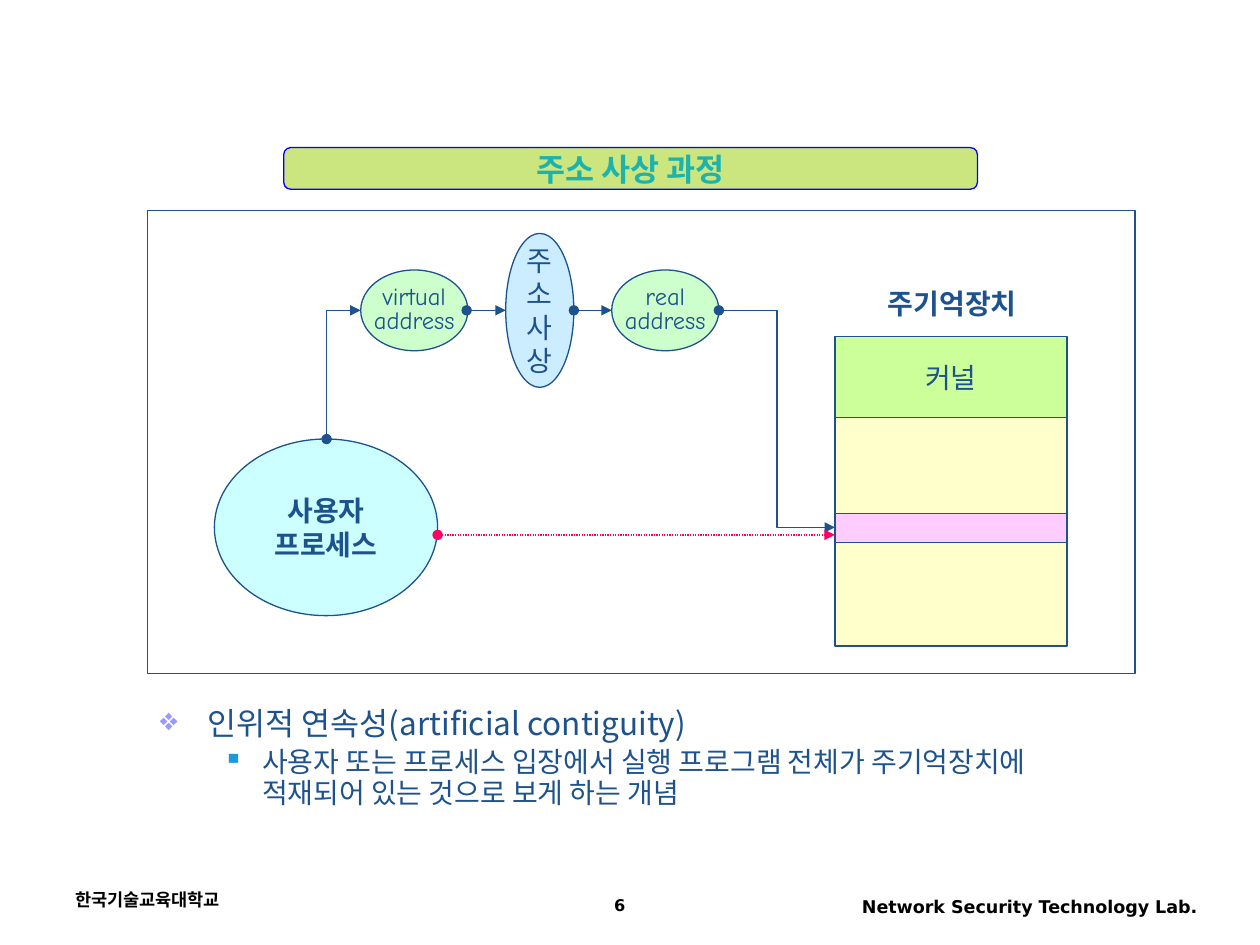
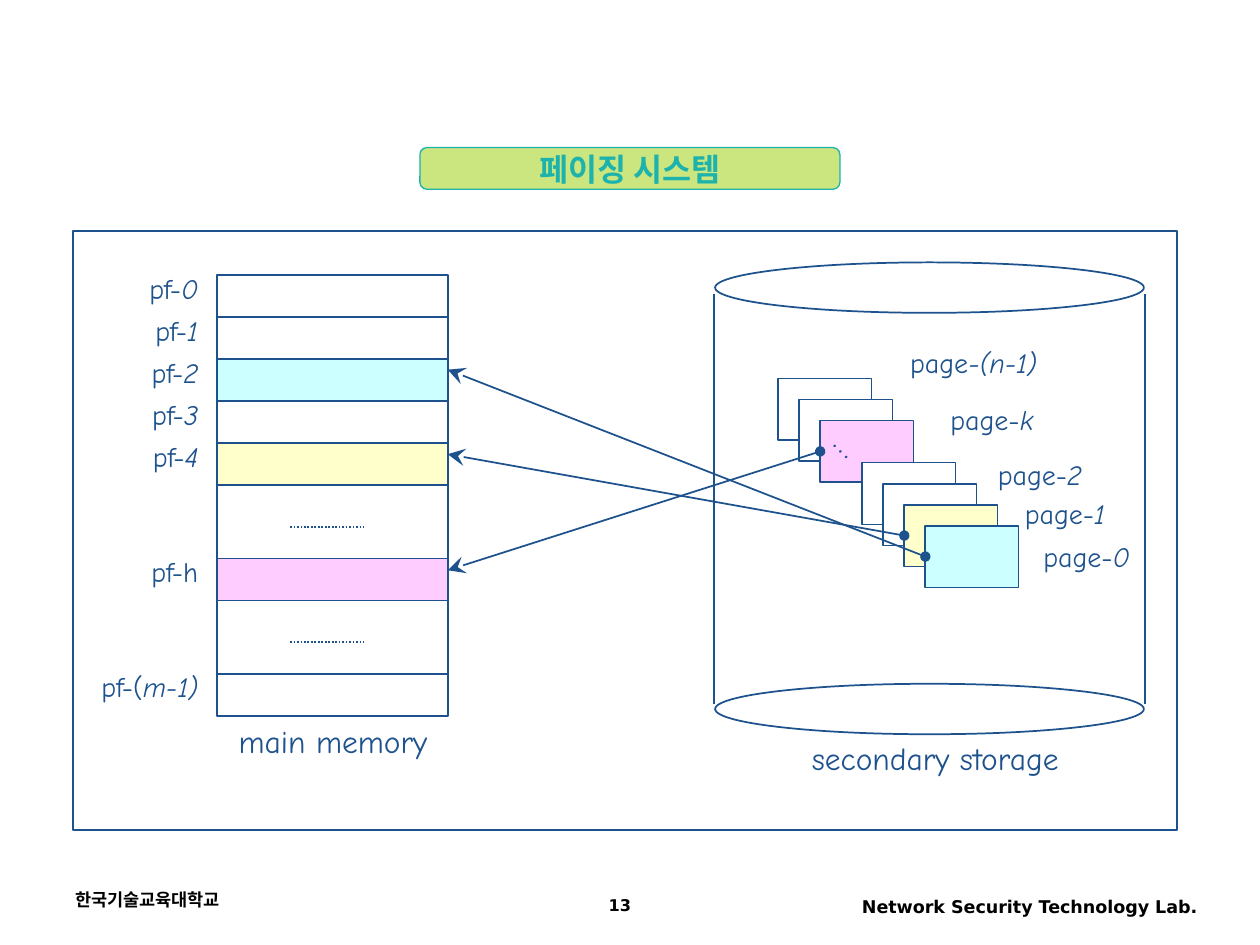
"""Build two slides on address mapping and on the paging system."""
from lxml import etree
from pptx import Presentation
from pptx.dml.color import RGBColor
from pptx.enum.dml import MSO_LINE
from pptx.enum.shapes import MSO_CONNECTOR, MSO_SHAPE
from pptx.enum.text import MSO_ANCHOR, PP_ALIGN
from pptx.oxml.ns import qn
from pptx.util import Inches, Pt

RECT, OVAL, BAND = MSO_SHAPE.RECTANGLE, MSO_SHAPE.OVAL, MSO_SHAPE.FLOWCHART_ALTERNATE_PROCESS
LINE, BENT = MSO_CONNECTOR.STRAIGHT, MSO_CONNECTOR.ELBOW
LEFT, MID, RIGHT = PP_ALIGN.LEFT, PP_ALIGN.CENTER, PP_ALIGN.RIGHT
TOP, CORE = MSO_ANCHOR.TOP, MSO_ANCHOR.MIDDLE
DOTS = MSO_LINE.ROUND_DOT
HANGUL = "Noto Sans CJK KR"
NAVY, TEAL, BLUE, RED, LIME = "1D528D", "1DB3AC", "0000FF", "FF0066", "99CC00"
WHITE, BLACK = "FFFFFF", "000000"
AQUA, CREAM, PINK, MINT, LEAF, SKY = "CCFFFF", "FFFFCC", "FFCCFF", "CCFFCC", "CCFF99", "CCECFF"
hue = RGBColor.from_string


def put(page, kind, box, text="", fill=WHITE, edge=NAVY, width=0.75, tint=NAVY,
        align=MID, wrap=False, gap=None, **look):
    """Add a shape, or a text box if kind is None; a bar in a line starts italics."""
    place = [Inches(n) for n in box]
    if kind is None:
        shape = page.shapes.add_textbox(*place)
    else:
        shape = page.shapes.add_shape(kind, *place)
        shape.shadow.inherit = False
        shape.fill.solid()
        shape.fill.fore_color.rgb = hue(fill)
        shape.line.color.rgb = hue(edge)
        shape.line.width = Pt(width)
    if not text:
        return shape
    frame = shape.text_frame
    frame.word_wrap = wrap
    frame.vertical_anchor = TOP if kind is None else CORE
    style = {"size": Pt(16), "name": "Comic Neue"} | look
    for i, row in enumerate(text.split("\n")):
        para = frame.add_paragraph() if i else frame.paragraphs[0]
        para.alignment, para.line_spacing = align, gap
        for j, part in enumerate(row.split("|")):
            run = para.add_run()
            run.text = part
            for key, val in style.items():
                setattr(run.font, key, val)
            if j:
                run.font.italic = True
            run.font.color.rgb = hue(tint)
            etree.SubElement(run.font._element, qn("a:ea"), typeface=HANGUL)
    return shape


def wire(page, ends, head=None, tail=None, tint=NAVY, width=0.75, dash=None, kind=LINE):
    """Add a connector with optional line ends."""
    link = page.shapes.add_connector(kind, *[Inches(n) for n in ends])
    link.line.color.rgb = hue(tint)
    link.line.width = Pt(width)
    if dash:
        link.line.dash_style = dash
    rim = link.line._get_or_add_ln()
    for tag, tip in (("a:headEnd", head), ("a:tailEnd", tail)):
        if tip:
            size = "lg" if tip == "stealth" else "med"
            etree.SubElement(rim, qn(tag), type=tip, w=size, len=size)
    etree.SubElement(link._element.spPr, qn("a:effectLst"))
    return link


deck = Presentation()
deck.slide_width, deck.slide_height = Inches(9.99), Inches(7.49)
pages = []
for title, num, left, span, edge in (
    ("주소 사상 과정", "6", 2.25, 5.5, BLUE),
    ("페이징 시스템", "13", 3.33, 3.33, TEAL),
):
    page = deck.slides.add_slide(deck.slide_layouts[6])
    pages.append(page)
    for text, box, align, size in (
        ("한국기술교육대학교", (0.5, 7, 2.33, 0.33), LEFT, 10),
        ("Network Security Technology Lab.", (6.42, 7.05, 3.17, 0.32), RIGHT, 10),
        (num, (3.75, 7.05, 2.33, 0.28), MID, 9.2),
    ):
        put(page, None, box, text, tint=BLACK, align=align, wrap=True,
            size=Pt(size), name="DejaVu Sans", bold=True)
    band = put(page, BAND, (left, 1.17, span, 0.33), title, LIME, edge, tint=TEAL,
               size=Pt(18), name="Arial Narrow", bold=True)
    shade = band._element.spPr.find(qn("a:solidFill"))[0]
    etree.SubElement(shade, qn("a:alpha"), val="50000")

flow, paging = pages

put(flow, RECT, (1.17, 1.67, 7.83, 3.67))
put(flow, OVAL, (1.7, 3.48, 1.77, 1.4), "사용자\n프로세스", AQUA, bold=True)
put(flow, None, (6.94, 2.22, 1.22, 0.37), "주기억장치", bold=True)
top = 2.67
for high, fill, text in ((0.64, LEAF, "커널"), (0.76, CREAM, ""), (0.23, PINK, ""), (0.82, CREAM, "")):
    put(flow, RECT, (6.62, top, 1.84, high), text, fill)
    top += high
for left, word in ((2.86, "virtual"), (4.85, "real")):
    put(flow, OVAL, (left, 2.14, 0.85, 0.64), word + "\naddress", MINT, gap=0.8, size=Pt(14))
put(flow, OVAL, (4.01, 1.85, 0.54, 1.22), "주\n소\n사\n상", SKY)

turn = wire(flow, (2.86, 2.46, 2.59, 3.48), "triangle", "oval", kind=BENT)
turn._element.spPr.find(qn("a:prstGeom")).set("prst", "bentConnector2")
for start, end in ((3.7, 4.01), (4.55, 4.85)):
    wire(flow, (start, 2.46, end, 2.46), "oval", "triangle")
wire(flow, (5.7, 2.46, 6.62, 4.18), "oval", "triangle", kind=BENT)
wire(flow, (3.47, 4.24, 6.62, 4.24), "oval", "triangle", RED, dash=DOTS)

note = put(flow, None, (1.17, 5.5, 7.83, 1.08),
           "인위적 연속성(artificial contiguity)\n"
           "사용자 또는 프로세스 입장에서 실행 프로그램 전체가 주기억장치에 적재되어 있는 것으로 보게 하는 개념",
           align=LEFT, wrap=True, name=HANGUL)
for para, level, size, gap, lead, hang, mark, tint in zip(
    note.text_frame.paragraphs, (0, 1), (18, 16), (1.1, 0.9), (0.38, 0.81), (0.38, 0.31),
    "❖▪", ("9999FF", "1B9AD9"),
):
    props = para._p.get_or_add_pPr()
    props.set("marL", str(Inches(lead)))
    props.set("indent", str(-Inches(hang)))
    etree.SubElement(etree.SubElement(props, qn("a:buClr")), qn("a:srgbClr"), val=tint)
    etree.SubElement(props, qn("a:buChar"), char=mark)
    para.level, para.line_spacing = level, gap
    para.runs[0].font.size = Pt(size)
    if level:
        para.space_before = Pt(4)

put(paging, RECT, (0.58, 1.83, 8.75, 4.75), width=1)
for top in (2.08, 5.42):
    put(paging, OVAL, (5.67, top, 3.4, 0.4), width=1)
for left in (5.66, 9.08):
    wire(paging, (left, 2.33, left, 5.58), width=1)

top = 2.18
for text, high, fill in (
    ("pf-|0", 1 / 3, WHITE), ("pf-|1", 1 / 3, WHITE), ("pf-|2", 1 / 3, AQUA),
    ("pf-|3", 1 / 3, WHITE), ("pf-|4", 1 / 3, CREAM), ("", 0.58, WHITE),
    ("pf-h", 1 / 3, PINK), ("", 0.58, WHITE), ("pf-(|m-1)", 1 / 3, WHITE),
):
    put(paging, RECT, (1.72, top, 1.83, high), fill=fill, width=1)
    if text:
        put(paging, None, (0.47, top - 0.08, 1.2, 0.37), text, align=RIGHT, wrap=True)
    else:
        wire(paging, (2.3, top + 0.33, 2.88, top + 0.33), width=1, dash=DOTS)
    top += high

cards = {}
for step, fill in ((0, WHITE), (1, WHITE), (2, PINK), (4, WHITE), (5, WHITE), (6, CREAM), (7, AQUA)):
    cards[fill] = put(paging, RECT, (6.17 + step / 6, 3 + step / 6, 0.74, 0.49), fill=fill, width=1)
for fill, end in ((AQUA, 2.93), (CREAM, 3.6), (PINK, 4.52)):
    link = wire(paging, (7, 4, 3.55, end), "oval", "stealth", width=1)
    link.begin_connect(cards[fill], 1)

for text, left, top, span in (
    ("page|-(n-1)", 6.91, 2.69, 1.62), ("page-|k", 7.28, 3.14, 1.17),
    ("page-|2", 7.66, 3.58, 1.17), ("page-|1", 7.86, 3.89, 1.17),
    ("page-|0", 8.03, 4.23, 1.17),
):
    put(paging, None, (left, top, span, 0.37), text, wrap=True)
for text, box in (
    ("main memory", (1.79, 5.67, 1.7, 0.4)),
    ("secondary storage", (6.33, 5.81, 2.17, 0.4)),
):
    put(paging, None, box, text, size=Pt(18))
more = put(paging, None, (6.55, 3.32, 0.36, 0.4), "…", size=Pt(18))
more.rotation = 44.2

deck.save("out.pptx")
